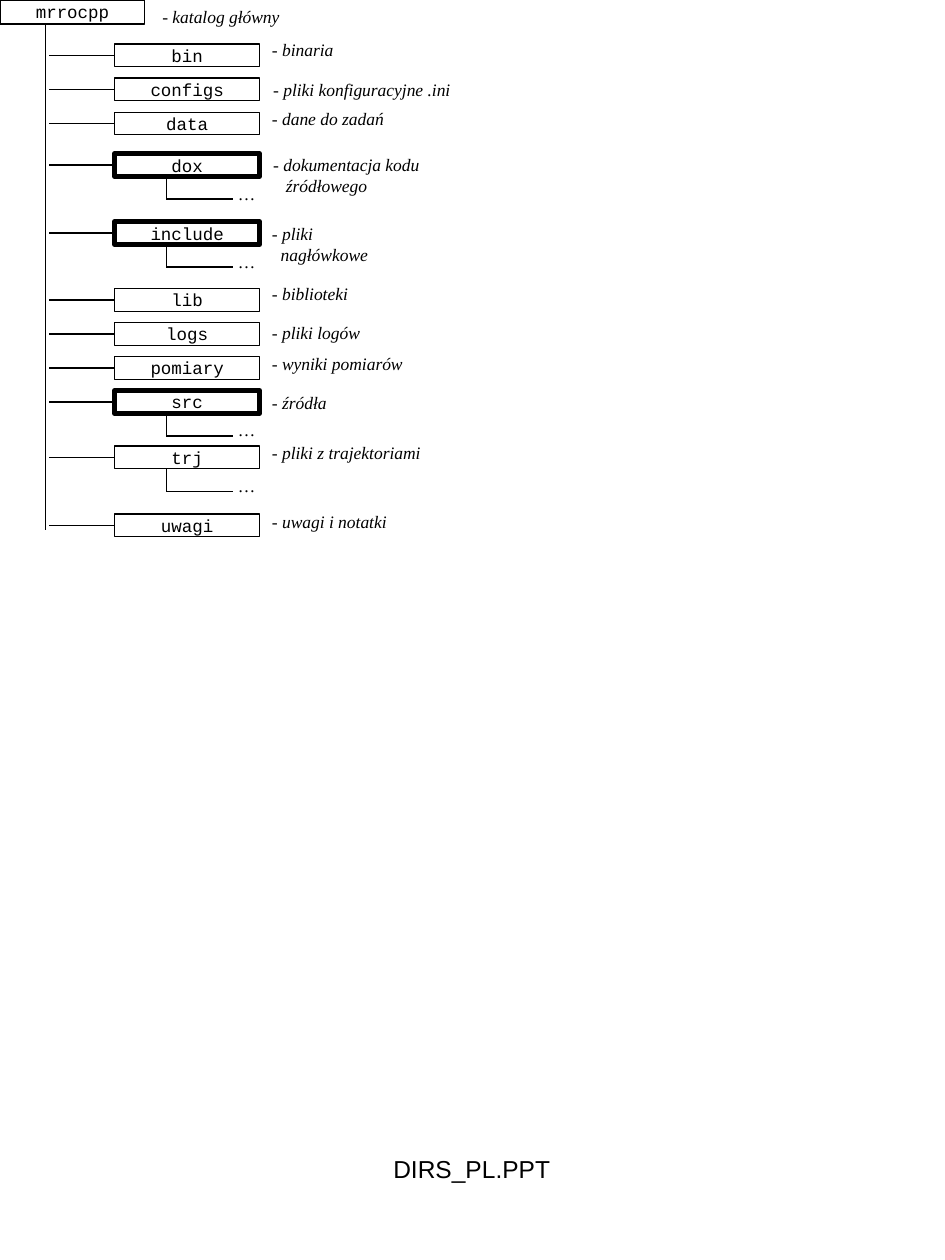
from pptx import Presentation
from pptx.dml.color import RGBColor
from pptx.enum.shapes import MSO_CONNECTOR, MSO_SHAPE
from pptx.enum.text import MSO_ANCHOR, PP_ALIGN
from pptx.oxml.ns import qn
from pptx.util import Inches, Pt
from lxml.etree import SubElement

INK = "000000"
BOX_LEFT, BOX_WIDTH, BOX_HEIGHT = 0.91, 1.15, 0.18
TRUNK_X, BRANCH_X = 0.36, 0.39
SUB_LEFT, SUB_RIGHT = 1.32, 1.85

FOLDERS = [
    ("bin", 0.35, False, False),
    ("configs", 0.62, False, False),
    ("data", 0.89, False, False),
    ("dox", 1.22, True, True),
    ("include", 1.76, True, True),
    ("lib", 2.29, False, False),
    ("logs", 2.56, False, False),
    ("pomiary", 2.83, False, False),
    ("src", 3.10, True, True),
    ("trj", 3.54, False, True),
    ("uwagi", 4.08, False, False),
]
DESCRIPTIONS = [
    ("- katalog główny", 1.19, 0, 2.03, 0),
    ("- binaria", 2.06, 0.26, 1.28, 0),
    ("- pliki konfiguracyjne .ini", 2.07, 0.58, 1.6, 0),
    ("- dane do zadań", 2.06, 0.81, 1.09, 0),
    ("- dokumentacja kodu\vźródłowego", 2.07, 1.17, 1.36, 0.1),
    ("- pliki\vnagłówkowe", 2.06, 1.72, 1.5, 0.07),
    ("- biblioteki", 2.06, 2.20, 0.8, 0),
    ("- pliki logów", 2.06, 2.51, 0.9, 0),
    ("- wyniki pomiarów", 2.06, 2.75, 1.24, 0),
    ("- źródła", 2.06, 3.06, 1.32, 0),
    ("- pliki z trajektoriami", 2.06, 3.46, 1.41, 0),
    ("- uwagi i notatki", 2.06, 4.01, 1.14, 0),
]


def write(shape, text, font, size, italic=False, align=PP_ALIGN.LEFT):
    shape.text_frame.text = text
    paragraph = shape.text_frame.paragraphs[0]
    paragraph.alignment = align
    for run in paragraph.runs:
        run.font.name = font
        run.font.size = Pt(size)
        run.font.italic = italic
        run.font.color.rgb = RGBColor.from_string(INK)
    return paragraph


def draw_line(x1, y1, x2, y2):
    line = slide.shapes.add_connector(
        MSO_CONNECTOR.STRAIGHT, Inches(x1), Inches(y1), Inches(x2), Inches(y2))
    line.line.color.rgb = RGBColor.from_string(INK)
    line.line.width = Pt(0.75)
    SubElement(line._element.spPr, qn("a:effectLst"))
    return line


prs = Presentation()
prs.slide_width = Inches(7.5)
prs.slide_height = Inches(10)
slide = prs.slides.add_slide(prs.slide_layouts[6])

draw_line(TRUNK_X, 0.2, TRUNK_X, 4.21)

boxes = [("mrrocpp", 0, 0, 0.19, False)]
boxes += [(name, BOX_LEFT, top, BOX_HEIGHT, bold) for name, top, bold, _ in FOLDERS]
for name, left, top, height, bold in boxes:
    folder = slide.shapes.add_shape(
        MSO_SHAPE.RECTANGLE, Inches(left), Inches(top), Inches(BOX_WIDTH), Inches(height))
    folder.shadow.inherit = False
    folder.fill.background()
    folder.line.color.rgb = RGBColor.from_string(INK)
    folder.line.width = Pt(3 if bold else 0.75)
    folder.text_frame.word_wrap = False
    folder.text_frame.vertical_anchor = MSO_ANCHOR.MIDDLE
    write(folder, name, "Courier New", 10, align=PP_ALIGN.CENTER)
    if left:
        middle = top + height / 2
        branch = draw_line(BRANCH_X, middle, left, middle)
        branch.end_connect(folder, 1)

notes = list(DESCRIPTIONS)
for name, top, bold, has_children in FOLDERS:
    if has_children:
        bottom = top + BOX_HEIGHT
        draw_line(SUB_LEFT, bottom, SUB_LEFT, bottom + 0.18)
        draw_line(SUB_LEFT, bottom + 0.18, SUB_RIGHT, bottom + 0.18)
        notes.append(("…", 1.8, bottom, 0.26, 0))

for text, left, top, width, indent in notes:
    height = 0.44 if "\v" in text else 0.27
    description = slide.shapes.add_textbox(
        Inches(left), Inches(top), Inches(width), Inches(height))
    description.text_frame.word_wrap = True
    description.text_frame.margin_right = 0
    paragraph = write(description, text, "Times New Roman", 10, italic=True)
    if indent:
        properties = paragraph._p.get_or_add_pPr()
        properties.set("marL", str(Inches(indent)))
        properties.set("indent", str(-Inches(indent)))

file_label = slide.shapes.add_textbox(Inches(2.56), Inches(9.11), Inches(2.37), Inches(0.69))
file_label.text_frame.word_wrap = True
write(file_label, "DIRS_PL.PPT", "Arial", 14, align=PP_ALIGN.CENTER)

prs.save("out.pptx")
